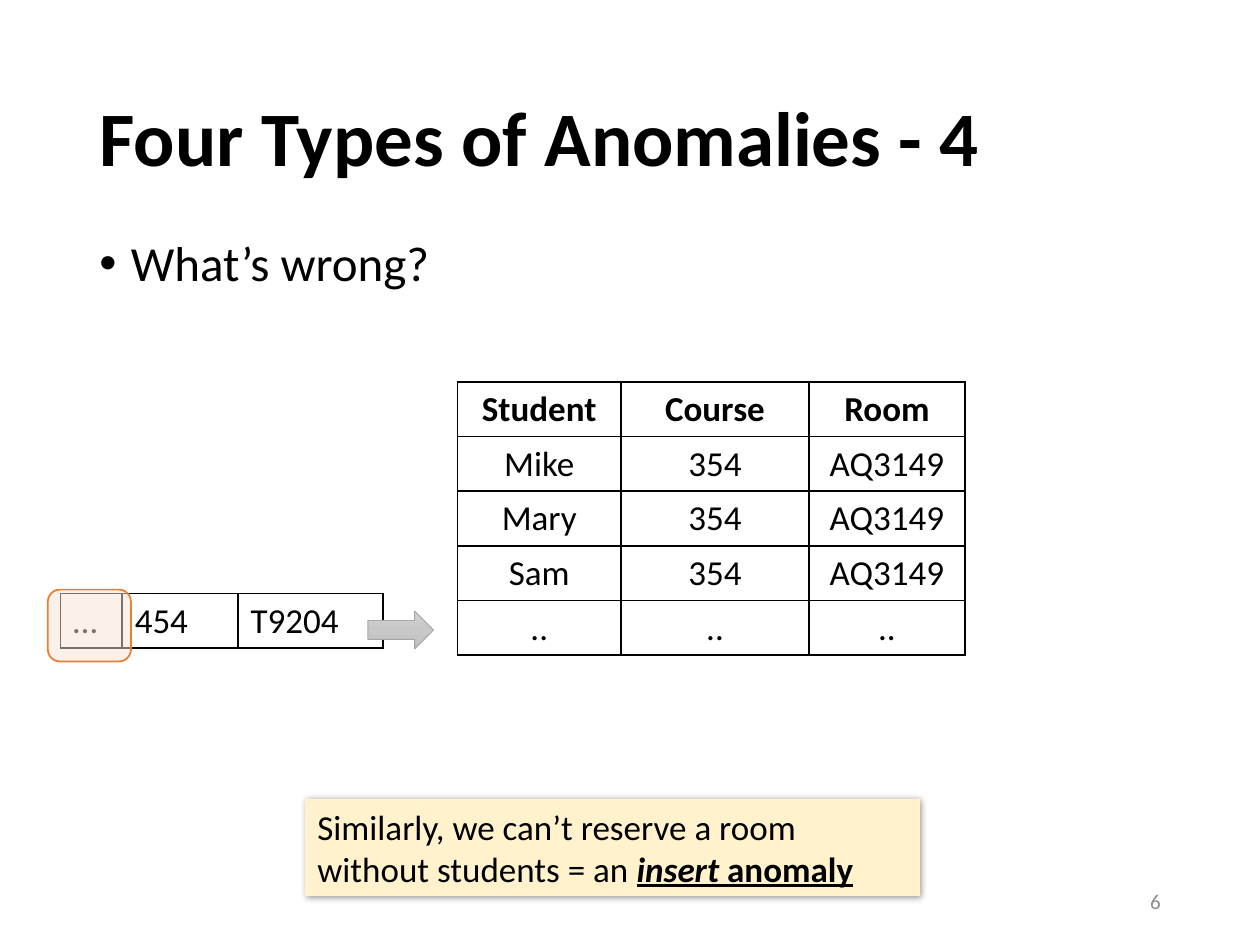
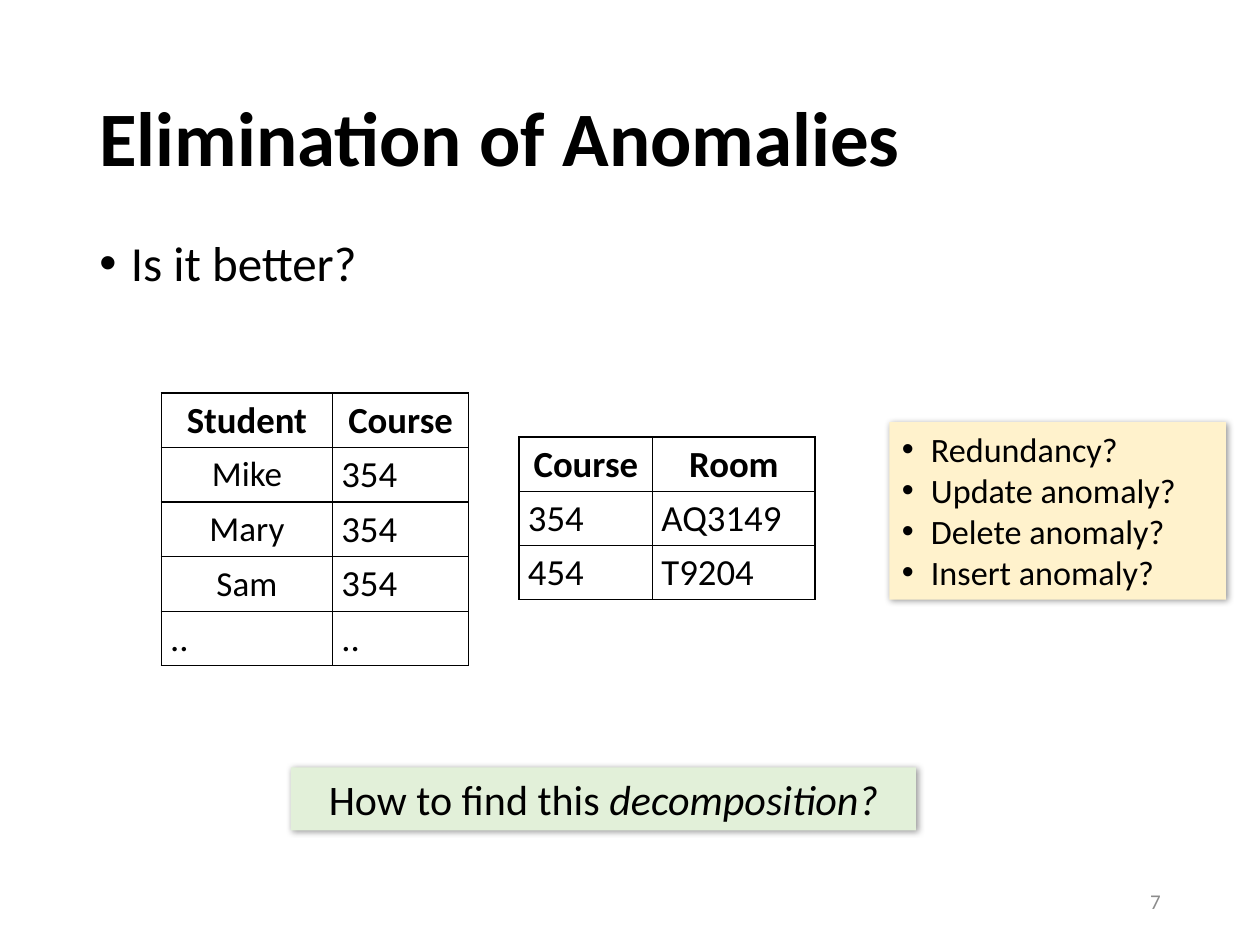
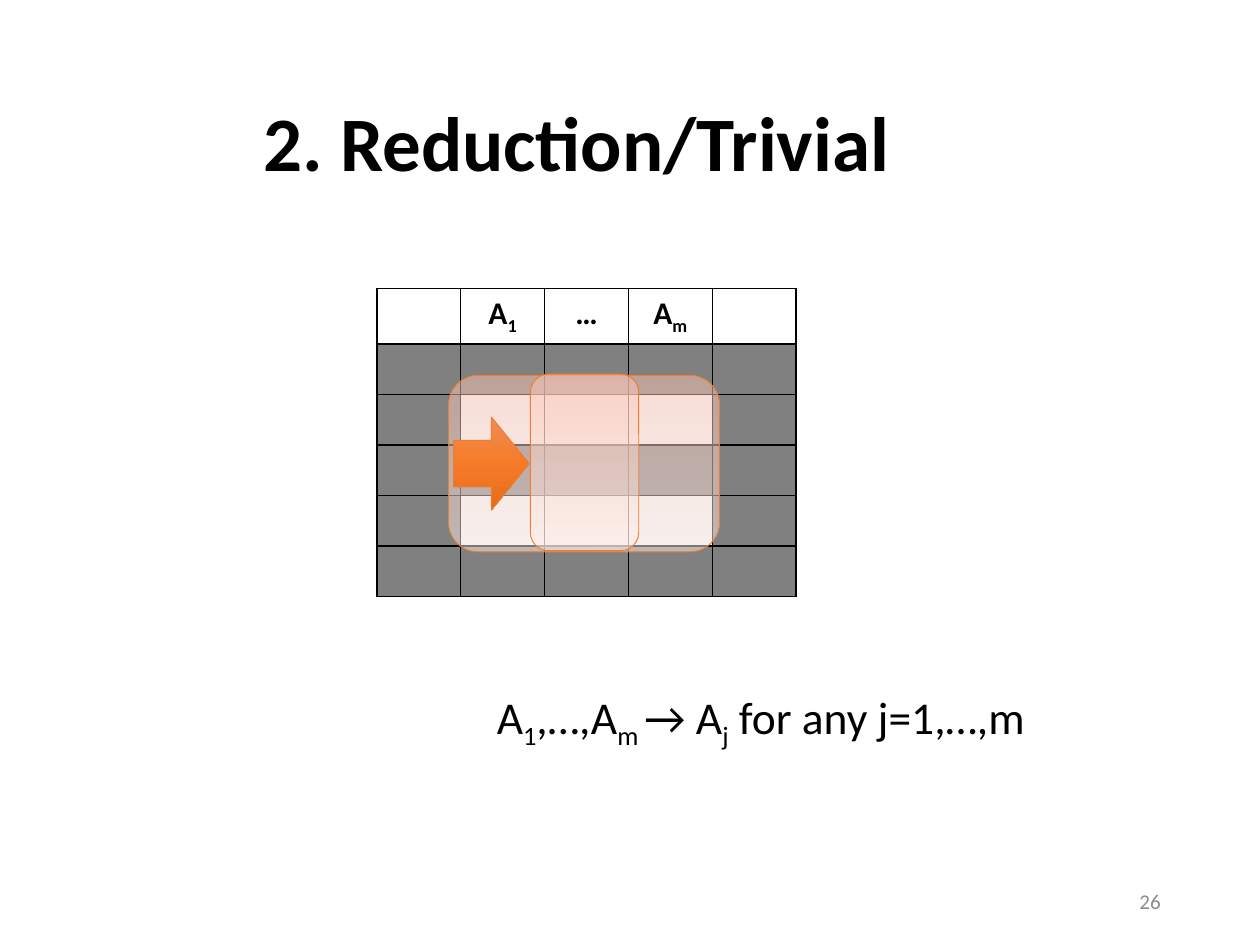
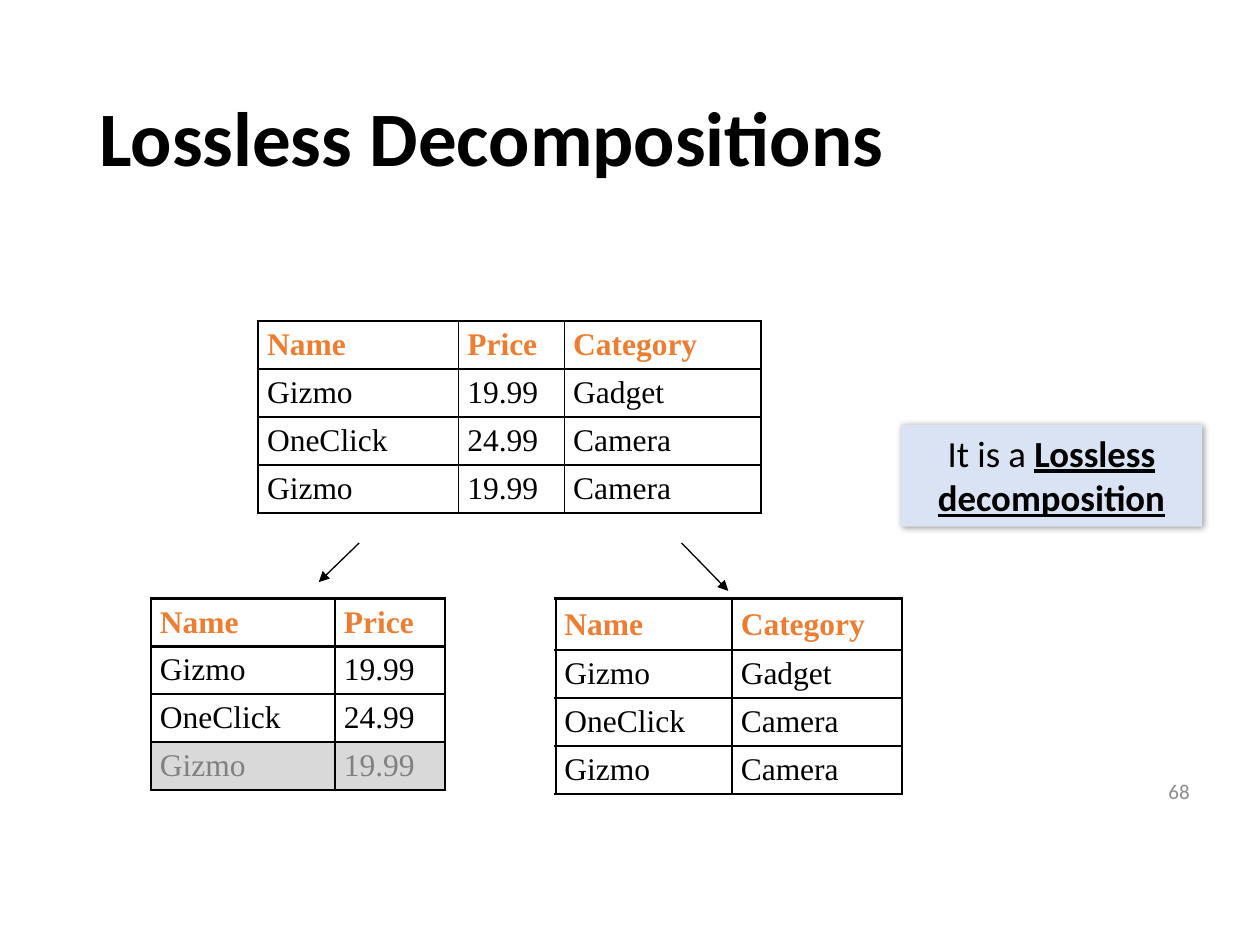
from dataclasses import dataclass, field, replace
from typing import NamedTuple

from lxml import etree
from pptx import Presentation
from pptx.dml.color import RGBColor
from pptx.enum import shapes, text
from pptx.oxml import ns
from pptx.util import Inches, Pt

# Shared look
BLACK = RGBColor(0x00, 0x00, 0x00)
PAGE_GREY = RGBColor(0x8C, 0x8C, 0x8C)
MASK_GREY = RGBColor(0x80, 0x80, 0x80)
DUPLICATE_GREY = RGBColor(0xD9, 0xD9, 0xD9)
ARROW_GREY = RGBColor(0xA5, 0xA5, 0xA5)
CELL_LIGHT = RGBColor(0xF2, 0xF2, 0xF2)
ORANGE = RGBColor(0xED, 0x7D, 0x31)
PEACH = RGBColor(0xFB, 0xE5, 0xD6)
CREAM = RGBColor(0xFF, 0xF2, 0xCC)
MINT = RGBColor(0xE2, 0xF0, 0xD9)
SKY = RGBColor(0xDA, 0xE3, 0xF3)
GREY_STOPS = [(0, "D2D2D2"), (50, "C8C8C8"), (100, "C0C0C0")]
ORANGE_STOPS = [(0, "F18C57"), (50, "F67B28"), (100, "E56C19")]
PINK_STOPS = [(0, "FFC7B6"), (35, "FFD7CB"), (100, "FFF0EB")]
SANS, SERIF = "Calibri", "Times New Roman"
LEFT, CENTER, RIGHT = text.PP_ALIGN.LEFT, text.PP_ALIGN.CENTER, text.PP_ALIGN.RIGHT
SHAPE = shapes.MSO_SHAPE


class Box(NamedTuple):
    left: float
    top: float
    width: float
    height: float

    def lengths(self) -> list:
        return [Inches(side) for side in self]


class Run(NamedTuple):
    text: str
    bold: bool = False
    italic: bool = False
    underline: bool = False
    sub: bool = False


@dataclass(frozen=True)
class Style:
    size: float
    font: str = SANS
    color: RGBColor = BLACK
    bold: bool = False
    align: text.PP_ALIGN = LEFT
    bullet_indent: float = 0
    line_spacing: float = 1.0
    space_before: float = 0


@dataclass(frozen=True)
class CellLook:
    style: Style
    fill: RGBColor | None = None
    tight: bool = False
    middle: bool = False


@dataclass
class Grid:
    left: float
    top: float
    columns: list[float]
    row_heights: list[float]
    rows: list[list]
    header: CellLook
    body: CellLook
    special: dict[tuple[int, int], CellLook] = field(default_factory=dict)
    frame_width: float = 1.0


@dataclass(frozen=True)
class Callout:
    box: Box
    fill: RGBColor
    paragraphs: list
    style: Style


TITLE = Style(44, bold=True, line_spacing=0.9)
QUESTION = Style(28, bullet_indent=0.25, line_spacing=0.9, space_before=10)
PAGE_NUMBER = Style(12, color=PAGE_GREY, align=RIGHT)
TITLE_BOX = Box(0.69, 0.4, 8.62, 1.45)
QUESTION_BOX = Box(0.69, 1.85, 8.62, 4.76)
PAGE_BOX = Box(7.06, 6.95, 2.25, 0.4)


# Text
def write_paragraph(paragraph, content, style: Style) -> None:
    if style.bullet_indent:
        props = paragraph._p.get_or_add_pPr()
        props.set("marL", str(Inches(style.bullet_indent)))
        props.set("indent", str(-Inches(style.bullet_indent)))
        etree.SubElement(props, ns.qn("a:buFont")).set("typeface", "Arial")
        etree.SubElement(props, ns.qn("a:buChar")).set("char", "•")
    paragraph.alignment = style.align
    paragraph.line_spacing = style.line_spacing
    paragraph.space_before = Pt(style.space_before)
    font = paragraph.font
    font.name, font.size, font.bold = style.font, Pt(style.size), style.bold
    font.color.rgb = style.color
    for part in [Run(content)] if isinstance(content, str) else content:
        run = paragraph.add_run()
        run.text = part.text
        if part.bold:
            run.font.bold = True
        if part.italic:
            run.font.italic = True
        if part.underline:
            run.font.underline = True
        if part.sub:
            run._r.get_or_add_rPr().set("baseline", "-25000")


def write_frame(frame, paragraphs: list, style: Style, middle: bool = False) -> None:
    frame.word_wrap = True
    frame.vertical_anchor = text.MSO_ANCHOR.MIDDLE if middle else text.MSO_ANCHOR.TOP
    for index, content in enumerate(paragraphs):
        paragraph = frame.add_paragraph() if index else frame.paragraphs[0]
        write_paragraph(paragraph, content, style)


def add_text(slide, box: Box, content, style: Style, middle: bool = False) -> None:
    frame = slide.shapes.add_textbox(*box.lengths()).text_frame
    write_frame(frame, [content], style, middle)


def add_slide(deck, title: str, page: int, title_box: Box = TITLE_BOX, page_box: Box = PAGE_BOX):
    slide = deck.slides.add_slide(deck.slide_layouts[6])
    add_text(slide, title_box, title, TITLE, middle=True)
    add_text(slide, page_box, str(page), PAGE_NUMBER, middle=True)
    return slide


# Shapes
def add_filled(slide, kind, box: Box, fill: RGBColor | None = None,
               line: RGBColor | None = None, line_width: float = 0.5):
    shape = slide.shapes.add_shape(kind, *box.lengths())
    shape.shadow.inherit = False
    if fill is not None:
        shape.fill.solid()
        shape.fill.fore_color.rgb = fill
    if line is None:
        shape.line.fill.background()
    else:
        shape.line.color.rgb = line
        shape.line.width = Pt(line_width)
    return shape


def set_alpha(color_element, percent: int) -> None:
    etree.SubElement(color_element, ns.qn("a:alpha")).set("val", str(percent * 1000))


def add_gradient(slide, kind, box: Box, stops: list, line: RGBColor, alpha: int = 100) -> None:
    shape = add_filled(slide, kind, box, line=line)
    shape.fill.gradient()
    shape.fill.gradient_angle = 270
    stop_list = shape._element.spPr.find(ns.qn("a:gradFill")).find(ns.qn("a:gsLst"))
    for stop in list(stop_list):
        stop_list.remove(stop)
    for position, color in stops:
        stop = etree.SubElement(stop_list, ns.qn("a:gs"), pos=str(position * 1000))
        set_alpha(etree.SubElement(stop, ns.qn("a:srgbClr"), val=color), alpha)


def add_callout(slide, callout: Callout) -> None:
    shape = add_filled(slide, SHAPE.RECTANGLE, callout.box, callout.fill)
    effects = shape._element.spPr.find(ns.qn("a:effectLst"))
    shadow = etree.SubElement(effects, ns.qn("a:outerShdw"), blurRad=str(Pt(4)),
                              dist=str(Pt(1)), dir="2700000", algn="tl", rotWithShape="0")
    set_alpha(etree.SubElement(shadow, ns.qn("a:srgbClr"), val=str(BLACK)), 40)
    write_frame(shape.text_frame, callout.paragraphs, callout.style)
    shape.text_frame.auto_size = text.MSO_AUTO_SIZE.SHAPE_TO_FIT_TEXT


def add_arrow(slide, start: tuple[float, float], end: tuple[float, float]) -> None:
    ends = [Inches(value) for value in (*start, *end)]
    arrow = slide.shapes.add_connector(shapes.MSO_CONNECTOR.STRAIGHT, *ends)
    arrow.line.color.rgb = BLACK
    arrow.line.width = Pt(0.75)
    etree.SubElement(arrow.line._get_or_add_ln(), ns.qn("a:tailEnd")).set("type", "triangle")
    etree.SubElement(arrow._element.spPr, ns.qn("a:effectLst"))


# Tables
def set_borders(cell, widths: dict[str, float]) -> None:
    props = cell._tc.get_or_add_tcPr()
    for index, (side, width) in enumerate(widths.items()):
        line = etree.Element(ns.qn(f"a:ln{side}"), w=str(Pt(width)))
        solid = etree.SubElement(line, ns.qn("a:solidFill"))
        etree.SubElement(solid, ns.qn("a:srgbClr"), val=str(BLACK))
        props.insert(index, line)


def write_cell(cell, content, look: CellLook) -> None:
    if look.fill is None:
        cell.fill.background()
    else:
        cell.fill.solid()
        cell.fill.fore_color.rgb = look.fill
    if look.tight:
        cell.margin_left = cell.margin_right = Inches(0.07)
        cell.margin_top = cell.margin_bottom = Inches(0.04)
    if look.middle:
        cell.vertical_anchor = text.MSO_ANCHOR.MIDDLE
    if content:
        write_paragraph(cell.text_frame.paragraphs[0], content, look.style)


def add_grid(slide, grid: Grid) -> None:
    last_row, last_column = len(grid.rows) - 1, len(grid.columns) - 1
    box = Box(grid.left, grid.top, sum(grid.columns), sum(grid.row_heights))
    table = slide.shapes.add_table(last_row + 1, last_column + 1, *box.lengths()).table
    table.first_row = table.horz_banding = False
    for column, width in zip(table.columns, grid.columns):
        column.width = Inches(width)
    for row, height in zip(table.rows, grid.row_heights):
        row.height = Inches(height)
    for r, values in enumerate(grid.rows):
        for c, content in enumerate(values):
            cell = table.cell(r, c)
            look = grid.special.get((r, c), grid.body if r else grid.header)
            write_cell(cell, content, look)
            # The frame and the rule under the header share one width
            heavy = {"L": c == 0, "R": c == last_column, "T": r <= 1, "B": r in (0, last_row)}
            set_borders(cell, {side: grid.frame_width if edge else 1
                               for side, edge in heavy.items()})


# Slides
def insert_anomaly(deck) -> None:
    slide = add_slide(deck, "Four Types of Anomalies - 4", 6)
    add_text(slide, QUESTION_BOX, "What’s wrong?", QUESTION)
    plain = CellLook(Style(20))
    centered = CellLook(Style(20, align=CENTER))
    header = CellLook(Style(20, bold=True, align=CENTER))
    bookings = [[student, "354", "AQ3149"] for student in ("Mike", "Mary", "Sam")]
    add_grid(slide, Grid(3.63, 3.03, [1.3, 1.49, 1.24], [0.43] * 5,
                         [["Student", "Course", "Room"], *bookings, [".."] * 3],
                         header, centered))
    add_callout(slide, Callout(Box(2.42, 6.34, 4.88, 0.77), CREAM, [[
        Run("Similarly, we can’t reserve a room without students = an "),
        Run("insert ", bold=True, italic=True, underline=True),
        Run("anomaly", bold=True, underline=True)]], Style(20)))
    # The new row that lacks a student
    add_grid(slide, Grid(0.48, 4.71, [0.49, 0.92, 1.15], [0.43],
                         [["…", "454", "T9204"]], plain, plain))
    add_gradient(slide, SHAPE.RIGHT_ARROW, Box(2.92, 4.85, 0.52, 0.3), GREY_STOPS, ARROW_GREY)
    missing = add_filled(slide, SHAPE.ROUNDED_RECTANGLE, Box(0.38, 4.68, 0.66, 0.57),
                         PEACH, ORANGE, 1)
    set_alpha(missing.fill._xPr.find(ns.qn("a:solidFill"))[0], 50)


def elimination(deck) -> None:
    slide = add_slide(deck, "Elimination of Anomalies", 7)
    add_text(slide, QUESTION_BOX, "Is it better?", QUESTION)
    header = CellLook(Style(21, bold=True, align=CENTER), tight=True)
    body = CellLook(Style(21), tight=True)
    student = CellLook(Style(20, align=CENTER))
    enrolments = [[name, "354"] for name in ("Mike", "Mary", "Sam")]
    add_grid(slide, Grid(1.28, 3.12, [1.36, 1.08], [0.43] * 5,
                         [["Student", "Course"], *enrolments, ["..", ".."]],
                         header, body, {(row, 0): student for row in (1, 2, 3)}))
    add_grid(slide, Grid(4.12, 3.47, [1.06, 1.29], [0.43] * 3,
                         [["Course", "Room"], ["354", "AQ3149"], ["454", "T9204"]],
                         header, body))
    add_callout(slide, Callout(Box(2.31, 6.09, 4.96, 0.5), MINT, [[
        Run("How to find this "), Run("decomposition?", italic=True)]],
        Style(24, align=CENTER)))
    add_callout(slide, Callout(Box(7.06, 3.35, 2.67, 1.41), CREAM,
                               ["Redundancy?", "Update anomaly?",
                                "Delete anomaly?", "Insert anomaly?"],
                               Style(19.5, bullet_indent=0.23)))


def reduction(deck) -> None:
    slide = add_slide(deck, "2. Reduction/Trivial", 26, Box(1.99, 0.44, 5.58, 1.45))
    header = CellLook(Style(18, bold=True, align=CENTER))
    masked = CellLook(Style(18), fill=MASK_GREY)
    light = replace(masked, fill=CELL_LIGHT)
    names = ["", [Run("A"), Run("1", sub=True)], "…", [Run("A"), Run("m", sub=True)], ""]
    add_grid(slide, Grid(2.99, 2.29, [3.33 / 5] * 5, [0.43] + [0.4] * 5,
                         [names] + [[""] * 5] * 5, header, masked,
                         {(row, column): light for row in (2, 4) for column in (1, 2, 3)}))
    add_text(slide, Box(3.17, 5.42, 5.74, 0.54), [
        Run("A"), Run("1", sub=True), Run(",…,A"), Run("m ", sub=True),
        Run("→ A"), Run("j", sub=True), Run(" for any j=1,…,m")], Style(26, align=CENTER))
    # All attributes, then the one they determine
    for highlight in (Box(3.56, 2.98, 2.15, 1.4), Box(4.21, 2.97, 0.86, 1.4)):
        add_gradient(slide, SHAPE.ROUNDED_RECTANGLE, highlight, PINK_STOPS, ORANGE, 50)
    add_gradient(slide, SHAPE.RIGHT_ARROW, Box(3.6, 3.31, 0.6, 0.74), ORANGE_STOPS, ORANGE)


def lossless(deck) -> None:
    slide = add_slide(deck, "Lossless Decompositions", 68, page_box=Box(7.79, 6.13, 1.75, 0.3))
    header = CellLook(Style(18, SERIF, ORANGE, bold=True), tight=True, middle=True)
    body = replace(header, style=Style(18, SERIF))
    duplicate = replace(body, style=Style(18, SERIF, MASK_GREY), fill=DUPLICATE_GREY)
    products = [["Name", "Price", "Category"], ["Gizmo", "19.99", "Gadget"],
                ["OneClick", "24.99", "Camera"], ["Gizmo", "19.99", "Camera"]]
    prices = [[name, price] for name, price, _ in products]
    categories = [[name, category] for name, _, category in products]
    heights = [0.38] * 4
    add_grid(slide, Grid(2.05, 2.55, [1.59, 0.84, 1.56], heights, products,
                         header, body, frame_width=1.5))
    add_grid(slide, Grid(1.2, 4.75, [1.46, 0.87], heights, prices, header, body,
                         {(3, column): duplicate for column in (0, 1)}, 1.5))
    add_grid(slide, Grid(4.41, 4.75, [1.4, 1.35], [0.41] + heights[1:], categories,
                         header, body, frame_width=1.5))
    add_arrow(slide, (2.85, 4.31), (2.53, 4.62))
    add_arrow(slide, (5.41, 4.31), (5.78, 4.69))
    add_callout(slide, Callout(Box(7.15, 3.37, 2.39, 0.81), SKY, [[
        Run("It is a "), Run("Lossless decomposition", bold=True, underline=True)]],
        Style(21, align=CENTER)))


def main() -> None:
    deck = Presentation()
    deck.slide_width, deck.slide_height = Inches(10), Inches(7.5)
    for build in (insert_anomaly, elimination, reduction, lossless):
        build(deck)
    deck.save("out.pptx")


if __name__ == "__main__":
    main()
